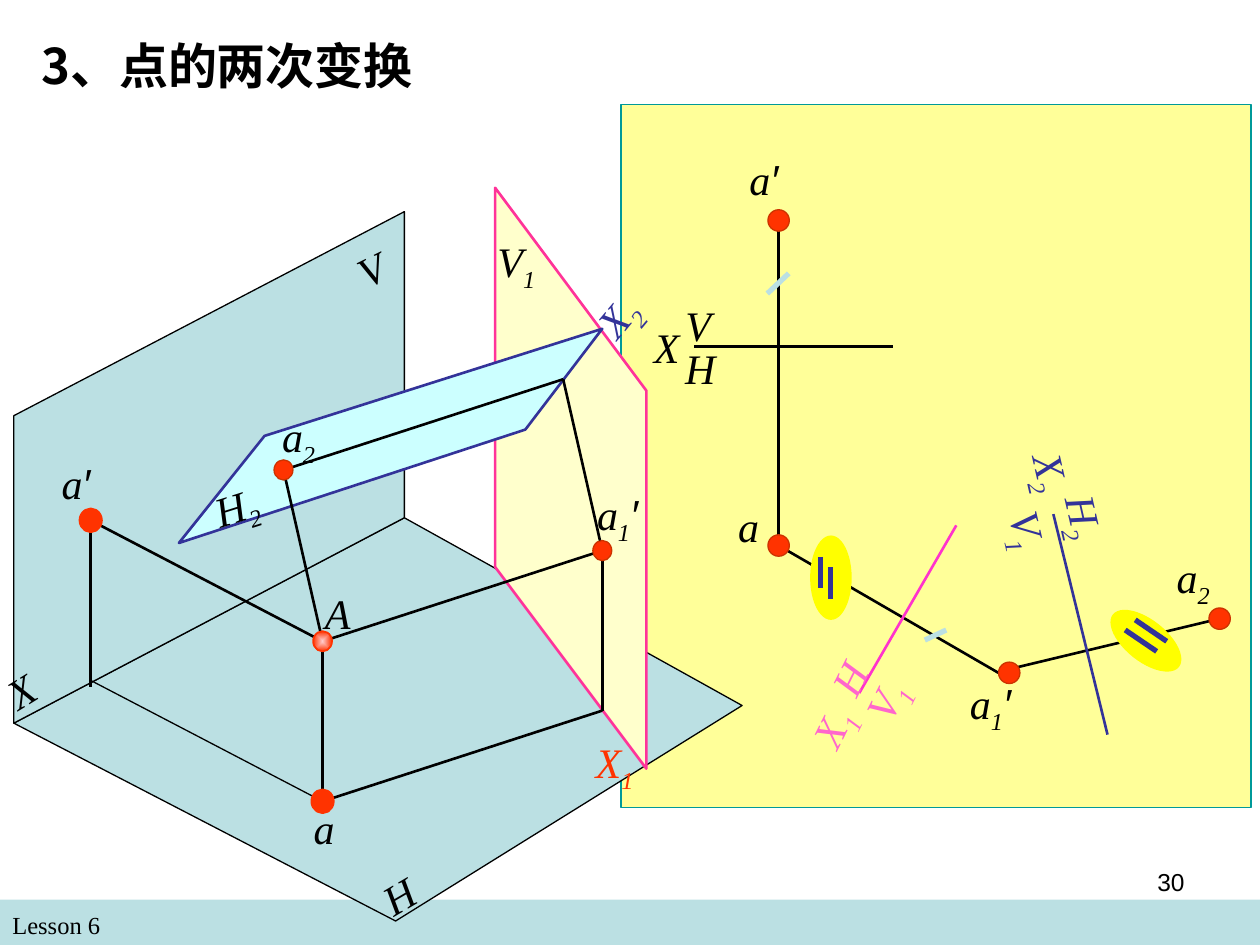
from lxml import etree
from pptx import Presentation
from pptx.dml.color import RGBColor
from pptx.enum.shapes import MSO_CONNECTOR, MSO_SHAPE
from pptx.enum.text import PP_ALIGN
from pptx.oxml.ns import qn
from pptx.util import Inches, Pt

STRAIGHT = MSO_CONNECTOR.STRAIGHT
OVAL, RECT = MSO_SHAPE.OVAL, MSO_SHAPE.RECTANGLE
RIGHT = PP_ALIGN.RIGHT


class Theme:
    black, plane, panel, panel_edge = "000000", "BBE0E3", "FFFF99", "009999"
    red, dark_red, glow, highlight = "FF3300", "CC3300", "FFCCCC", "FFFF00"
    v1_fill, v1_edge, h2_fill, blue = "FFFFCC", "FF3399", "CCFFFF", "333399"
    axis1, axis1_text = "FF33CC", "FF66CC"
    serif, sans, cjk = "Times New Roman", "Arial", "Noto Sans CJK SC"
    title, label, small = 28, 24, 14
    thin, normal, thick = 0.75, 1.5, 3


T = Theme


class Region:
    """Draws parts at inches measured from the region's top left corner."""

    def __init__(self, slide, left, top):
        self.shapes, self.left, self.top = slide.shapes, left, top

    def xy(self, x, y):
        return Inches(self.left + x), Inches(self.top + y)

    def style(self, sp, fill, edge=None, width=T.thin):
        sp.shadow.inherit = False
        sp.fill.solid()
        sp.fill.fore_color.rgb = RGBColor.from_string(fill)
        if edge:
            sp.line.color.rgb = RGBColor.from_string(edge)
            sp.line.width = Pt(width)
        else:
            sp.line.fill.background()
        return sp

    def shape(self, kind, x, y, w, h, fill, edge=None, width=T.thin, rot=0):
        sp = self.shapes.add_shape(kind, *self.xy(x, y), Inches(w), Inches(h))
        sp.rotation = rot
        return self.style(sp, fill, edge, width)

    def dot(self, center, w, h, edge=T.dark_red, width=T.thin):
        x, y = center
        return self.shape(OVAL, x - w / 2, y - h / 2, w, h, T.red, edge, width)

    def polygon(self, points, fill, edge, width):
        start, *rest = [self.xy(*pt) for pt in points]
        builder = self.shapes.build_freeform(*start)
        builder.add_line_segments(rest, close=True)
        self.style(builder.convert_to_shape(), fill, edge, width)

    def line(self, start, end, color=T.black, width=T.normal):
        ln = self.shapes.add_connector(STRAIGHT, *self.xy(*start), *self.xy(*end))
        ln.line.color.rgb = RGBColor.from_string(color)
        ln.line.width = Pt(width)
        etree.SubElement(ln._element.spPr, qn("a:effectLst"))

    def text_box(self, x, y, w, h, rot=0):
        sp = self.shapes.add_textbox(*self.xy(x, y), Inches(w), Inches(h))
        sp.rotation = rot
        sp.text_frame.word_wrap = True
        return sp.text_frame.paragraphs[0]

    def label(self, text, x, y, w, rot=0, color=T.black):
        """Point or plane name: a digit is a subscript, a prime is sans."""
        has_sub = any(ch.isdigit() for ch in text)
        p = self.text_box(x, y, w, 0.56 if has_sub else 0.5, rot)
        for ch in text:
            r = add_run(p, ch, T.label, T.sans if ch == "′" else T.serif, color)
            r.font.italic = True
            if ch.isdigit():
                r._r.get_or_add_rPr().set("baseline", "-25000")


def add_run(p, text, size, font, color=T.black):
    r = p.add_run()
    r.text = text
    r.font.size = Pt(size)
    r.font.color.rgb = RGBColor.from_string(color)
    r.font.name = font
    etree.SubElement(r._r.get_or_add_rPr(), qn("a:ea"), typeface=font)
    return r


def radial_fill(sp, inner, outer):
    sp.fill.gradient()
    for stop, color in zip(sp.fill.gradient_stops, (inner, outer)):
        stop.color.rgb = RGBColor.from_string(color)
    grad = sp._element.spPr.find(qn("a:gradFill"))
    grad.remove(grad.find(qn("a:lin")))
    shade = etree.SubElement(grad, qn("a:path"), path="rect")
    etree.SubElement(shade, qn("a:fillToRect"),
                     {side: "50000" for side in "ltrb"})


def draw_footer(slide, left, top):
    reg = Region(slide, left, top)
    reg.shape(RECT, 0, 0, 10, 0.36, T.plane)
    add_run(reg.text_box(0, 0.03, 4.83, 0.34), "Lesson 6", T.small, T.serif)


def draw_page_number(slide, left, top):
    p = Region(slide, left, top).text_box(0, 0, 2.33, 0.52)
    p.alignment = RIGHT
    add_run(p, "30", T.small, T.sans)


def draw_title(slide, left, top):
    p = Region(slide, left, top).text_box(0, 0, 3.2, 0.57)
    add_run(p, "3、点的两次变换", T.title, T.cjk).font.bold = True


def draw_projection(slide, left, top):
    reg = Region(slide, left, top)
    reg.shape(RECT, 0, 0, 5, 5.58, T.panel, T.panel_edge)
    a_v, a_h, a1, a2 = (1.25, 0.92), (1.25, 3.5), (3.08, 4.51), (4.75, 4.08)

    # Projection lines and the three axes
    reg.line((3, 4.5), a2)
    reg.line(a_v, a_h)
    reg.line(a_h, (3.08, 4.56))
    reg.line((0.58, 1.92), (2.16, 1.92))
    reg.line((1.89, 4.67), (2.66, 3.34), T.axis1)
    reg.line((3.43, 3.25), (3.86, 5), T.blue)
    for center in (a_v, a_h, a1, a2):
        reg.dot(center, 0.17, 0.17)

    # Equal-length marks
    for start, end in (((1.33, 1.34), (1.16, 1.5)), ((2.58, 4.17), (2.41, 4.25))):
        reg.line(start, end, T.plane, T.thick)
    for x, y, rot in ((1.5, 3.42, 0), (4, 3.92, 308.5)):
        reg.shape(OVAL, x, y, 0.33, 0.67, T.highlight, rot=rot)
    for x, y, dx, dy in ((1.58, 3.59, 0, 0.25), (1.66, 3.67, 0, 0.25),
                         (4, 4.17, 0.25, 0.17), (4.08, 4.09, 0.25, 0.17)):
        reg.line((x, y), (x + dx, y + dy), T.blue, T.thick)

    # Names
    for args in (("a′", 0.92, 0.34, 0.7), ("a", 0.83, 3.09, 0.8),
                 ("a1′", 2.67, 4.5, 0.7), ("a2", 4.31, 3.5, 0.7),
                 ("X", 0.16, 1.67, 0.58), ("V", 0.41, 1.5, 0.42),
                 ("H", 0.41, 1.84, 0.5)):
        reg.label(*args)
    for args in (("X1", 1.42, 4.64, 0.58), ("H", 1.59, 4.31, 0.42),
                 ("V1", 1.7, 4.19, 1.1)):
        reg.label(*args, rot=296.5, color=T.axis1_text)
    for args in (("X2", 3.02, 2.8, 0.82), ("H2", 3.34, 3.06, 0.66),
                 ("V1", 2.86, 3.23, 0.76)):
        reg.label(*args, rot=77.2, color=T.blue)


def draw_spatial_view(slide, left, top):
    reg = Region(slide, left, top)

    # Planes H, V, V1 and H2
    corner, origin = (3.1, 2.62), (0, 4.25)
    reg.polygon([corner, (5.78, 4.11), (3.03, 5.82), origin],
                T.plane, T.black, T.thin)
    reg.polygon([(3.1, 0.19), corner, origin, (0, 1.81)],
                T.plane, T.black, T.thin)
    reg.polygon([(5.02, 4.61), (3.82, 3.01), (3.82, 0), (5.02, 1.61)],
                T.v1_fill, T.v1_edge, T.normal)
    reg.polygon([(4.06, 1.92), (4.67, 1.12), (1.99, 1.97), (1.31, 2.82)],
                T.h2_fill, T.blue, T.normal)

    # Projectors between the space point and its projections
    A, a_h, a_v, a1, a2 = (2.45, 3.6), (2.45, 4.87), (0.61, 2.64), (4.67, 2.88), (2.14, 2.24)
    foot1, foot2 = (4.67, 4.15), (4.36, 1.52)
    for start, end in ((a1, foot2), (A, a2), (a2, foot2), (a_h, foot1), (A, a1),
                       (a1, foot1), (a_v, (0.61, 3.96)), (A, a_h), (a_v, A)):
        reg.line(start, end)
    reg.line((0.61, 3.91), a_h, width=T.thin)

    # Points
    for center in (a1, a2):
        reg.dot(center, 0.15, 0.16)
    for center in (a_v, a_h):
        reg.dot(center, 0.15, 0.16, T.red, T.thick)
    radial_fill(reg.dot(A, 0.15, 0.16, T.red, 1), T.glow, T.red)

    # Names
    for args in (("V", 2.63, 0.37, 0.5, 333.7), ("X", -0.18, 3.62, 0.87, 328.3),
                 ("H", 2.83, 5.35, 0.5, 329.6), ("V1", 3.74, 0.33, 0.87),
                 ("X1", 4.52, 4.31, 1, 0, T.red), ("H2", 1.5, 2.26, 0.62, 342.4),
                 ("X2", 4.49, 0.62, 0.87, 309.9, T.blue), ("a2", 2.03, 1.72, 0.7),
                 ("a1′", 4.53, 2.34, 0.7), ("a′", 0.28, 2.09, 0.8),
                 ("A", 2.37, 3.12, 0.5), ("a", 2.28, 4.83, 0.8)):
        reg.label(*args)


def main():
    prs = Presentation()
    prs.slide_width, prs.slide_height = Inches(10), Inches(7.5)
    s = prs.slides.add_slide(prs.slide_layouts[6])
    draw_footer(s, 0, 7.14)
    draw_projection(s, 4.93, 0.83)
    draw_spatial_view(s, 0.11, 1.49)
    draw_title(s, 0.23, 0.23)
    draw_page_number(s, 7.17, 6.83)
    prs.save("out.pptx")


if __name__ == "__main__":
    main()
